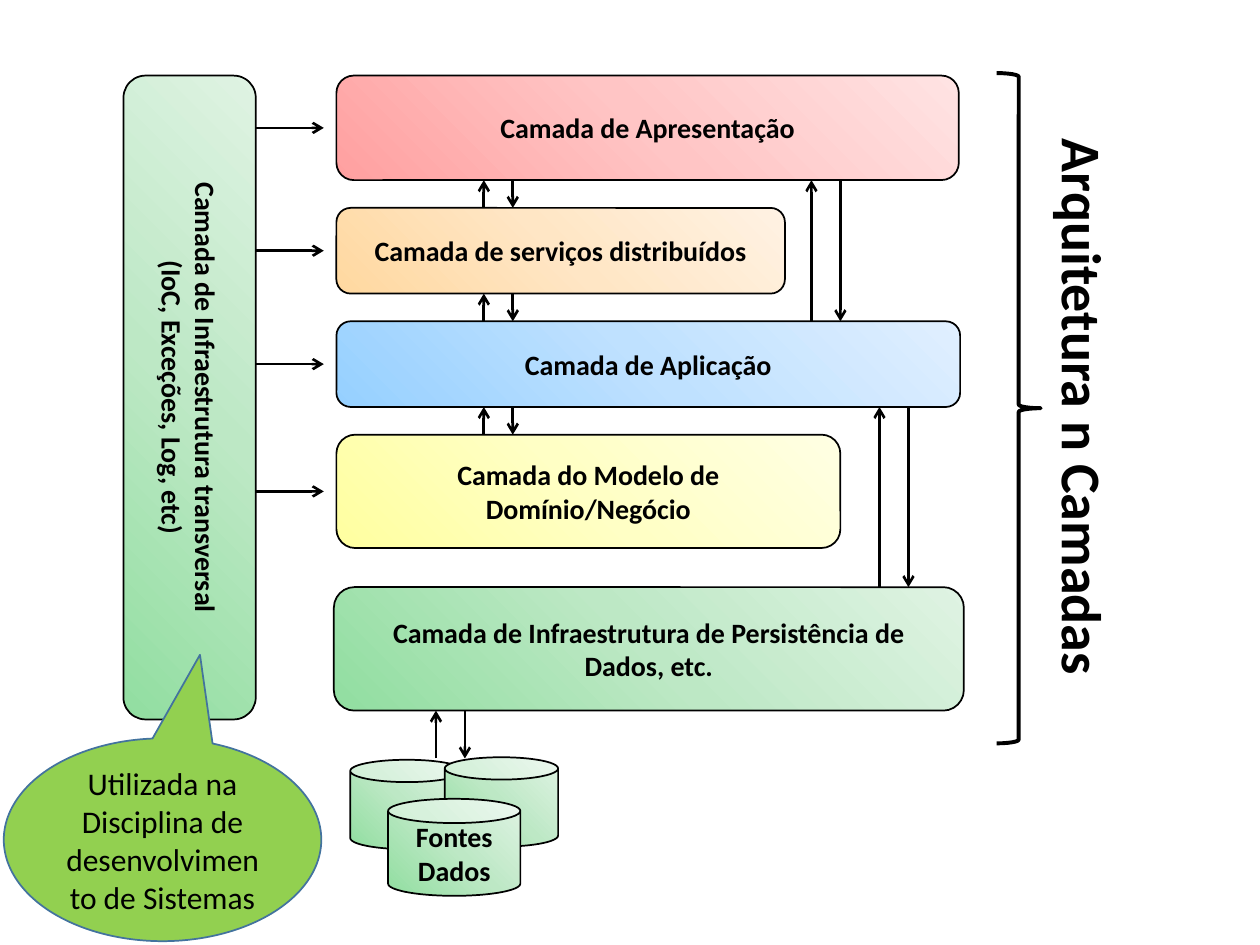
from copy import deepcopy
from dataclasses import dataclass

from pptx import Presentation
from pptx.dml.color import RGBColor
from pptx.enum.shapes import MSO_CONNECTOR, MSO_SHAPE
from pptx.enum.text import MSO_ANCHOR, MSO_AUTO_SIZE, PP_ALIGN
from pptx.oxml.ns import qn
from pptx.util import Inches, Pt
from lxml.etree import SubElement


@dataclass(frozen=True)
class Theme:
    font: str = "Calibri"
    ink: str = "000000"
    callout: str = "92D050"
    callout_edge: str = "43739E"
    red: tuple = ("FFA0A0", "FFC5C5", "FFE3E3")
    orange: tuple = ("FFD8A0", "FFE6C5", "FFF2E3")
    blue: tuple = ("96D0FF", "BFE1FF", "E0EFFF")
    yellow: tuple = ("FFFFA0", "FFFFC5", "FFFFE3")
    green: tuple = ("91DEA0", "BDE8C5", "DFF3E3")
    label_size: int = 16
    note_size: int = 18
    title_size: int = 32
    outline: float = 1
    arrow: float = 1.5
    brace: float = 2.25


THEME = Theme()


def write(frame, text, size=THEME.label_size, bold=True, anchor=MSO_ANCHOR.MIDDLE):
    frame.word_wrap = True
    frame.vertical_anchor = anchor
    frame.text = text
    for paragraph in frame.paragraphs:
        paragraph.alignment = PP_ALIGN.CENTER
        font = paragraph.runs[0].font
        font.name = THEME.font
        font.size = Pt(size)
        font.bold = bold
        font.color.rgb = RGBColor.from_string(THEME.ink)


class Diagram:
    def __init__(self, theme, slide):
        self.theme = theme
        self.shapes = slide.shapes

    def outline(self, line, color, width):
        line.color.rgb = RGBColor.from_string(color)
        line.width = Pt(width)

    def shape(self, kind, box, fill=None, edge=None, width=None):
        shape = self.shapes.add_shape(kind, *map(Inches, box))
        shape.shadow.inherit = False
        if fill is None:
            shape.fill.background()
        elif isinstance(fill, str):
            shape.fill.solid()
            shape.fill.fore_color.rgb = RGBColor.from_string(fill)
        else:
            self.gradient(shape, fill)
        self.outline(shape.line, edge or self.theme.ink, width or self.theme.outline)
        return shape

    def gradient(self, shape, colors):
        shape.fill.gradient()
        shape.fill.gradient_angle = 45
        stop_list = next(shape._element.spPr.iter(qn("a:gsLst")))
        stop_list.insert(1, deepcopy(stop_list[0]))
        for stop, position, color in zip(shape.fill.gradient_stops, (0, 0.5, 1), colors):
            stop.position = position
            stop.color.rgb = RGBColor.from_string(color)

    def layer(self, box, colors, text):
        layer = self.shape(MSO_SHAPE.ROUNDED_RECTANGLE, box, colors)
        write(layer.text_frame, text)
        return layer

    def arrow(self, *ends):
        arrow = self.shapes.add_connector(MSO_CONNECTOR.STRAIGHT, *map(Inches, ends))
        self.outline(arrow.line, self.theme.ink, self.theme.arrow)
        properties = arrow._element.spPr
        SubElement(properties.find(qn("a:ln")), qn("a:tailEnd"), type="arrow")
        SubElement(properties, qn("a:effectLst"))

    def exchange(self, x, top, bottom, gap=0.23):
        self.arrow(x, bottom, x, top)
        self.arrow(x + gap, top, x + gap, bottom)

    def title(self, box, text):
        title = self.shapes.add_textbox(*map(Inches, box))
        title.rotation = 90
        write(title.text_frame, text, size=self.theme.title_size, anchor=MSO_ANCHOR.TOP)
        title.text_frame.auto_size = MSO_AUTO_SIZE.SHAPE_TO_FIT_TEXT


presentation = Presentation()
presentation.slide_width = Inches(10)
presentation.slide_height = Inches(7.5)
slide = presentation.slides.add_slide(presentation.slide_layouts[6])
diagram = Diagram(THEME, slide)

layers = [
    ((2.67, 0.6, 4.94, 0.83), THEME.red, "Camada de Apresentação"),
    ((2.67, 1.65, 3.56, 0.68), THEME.orange, "Camada de serviços distribuídos"),
    ((2.67, 2.55, 4.95, 0.68), THEME.blue, "Camada de Aplicação"),
    ((2.67, 3.45, 4, 0.9), THEME.yellow, "Camada do Modelo de Domínio/Negócio"),
    ((2.65, 4.66, 5, 0.98), THEME.green,
     "Camada de Infraestrutura de Persistência de Dados, etc."),
]
for layer in layers:
    diagram.layer(*layer)

for source_box in [(2.78, 6.03, 0.9, 0.71), (3.53, 6.01, 0.9, 0.71), (3.08, 6.34, 1.05, 0.77)]:
    data_source = diagram.shape(MSO_SHAPE.CAN, source_box, THEME.green)
write(data_source.text_frame, "Fontes Dados")

tops = [box[1] for box, _, _ in layers]
bottoms = [box[1] + box[3] for box, _, _ in layers]
for top, bottom in list(zip(tops, bottoms))[:4]:
    middle = (top + bottom) / 2
    diagram.arrow(1.96, middle, 2.57, middle)
for upper in range(3):
    diagram.exchange(3.84, bottoms[upper], tops[upper + 1])
diagram.exchange(6.98, bottoms[2], tops[4])
diagram.exchange(6.44, bottoms[0], tops[2])
diagram.exchange(3.46, bottoms[4], 6.02)

crosscutting = diagram.layer(
    (0.98, 0.6, 1.05, 5.11), THEME.green,
    "Camada de Infraestrutura transversal\n(IoC, Exceções, Log, etc)")
crosscutting.text_frame._txBody.bodyPr.set("vert", "vert")

diagram.shape(MSO_SHAPE.RIGHT_BRACE, (7.91, 0.58, 0.35, 5.32), width=THEME.brace)
diagram.title((5.95, 2.91, 5.3, 0.64), "Arquitetura n Camadas")

usage = diagram.shape(MSO_SHAPE.OVAL_CALLOUT, (0.03, 5.86, 2.52, 1.61),
                      THEME.callout, THEME.callout_edge)
usage.adjustments[0] = 0.118
usage.adjustments[1] = -0.912
write(usage.text_frame, "Utilizada na Disciplina de desenvolvimento de Sistemas",
      size=THEME.note_size, bold=False)

presentation.save("out.pptx")
